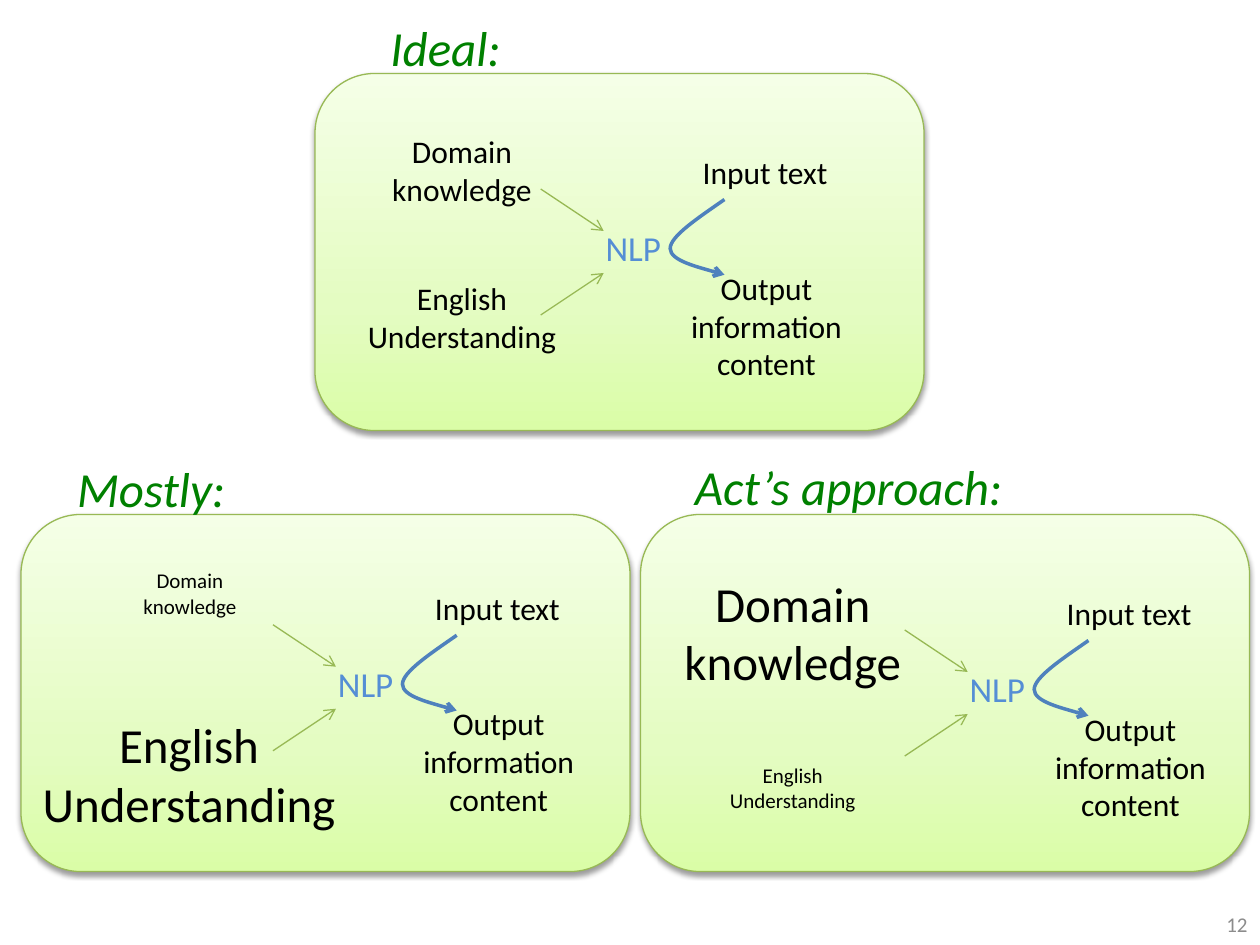
"""Build a slide that compares three balances of knowledge feeding NLP."""
from dataclasses import dataclass

from lxml.etree import SubElement
from pptx import Presentation
from pptx.dml.color import RGBColor as Color
from pptx.enum.shapes import MSO_CONNECTOR as Connector, MSO_SHAPE as Shape
from pptx.enum.text import MSO_ANCHOR as Anchor, MSO_AUTO_SIZE as AutoSize, PP_ALIGN as Align
from pptx.oxml import parse_xml
from pptx.oxml.ns import nsdecls, qn
from pptx.util import Pt


@dataclass(frozen=True)
class Theme:
    font: str = "Calibri"
    black: str = "000000"
    heading: str = "008000"
    accent: str = "558ED5"
    curve: str = "4F81BD"
    edge: str = "98B955"
    number: str = "8C8C8C"
    gradient: tuple = ((0, "DAFDA7"), (35, "E4FCC2"), (100, "F5FFE7"))
    small: int = 12
    body: int = 18
    hub: int = 20
    large: int = 28


theme = Theme()


def write(shapes, text, left, top, width, height, size=theme.body, color=theme.black,
          align=Align.CENTER, wrap=True, italic=False, anchor=Anchor.TOP, fit=True):
    box = shapes.add_textbox(Pt(left), Pt(top), Pt(width), Pt(height))
    frame = box.text_frame
    frame.word_wrap = wrap
    frame.auto_size = AutoSize.SHAPE_TO_FIT_TEXT if fit else AutoSize.NONE
    frame.vertical_anchor = anchor
    para = frame.paragraphs[0]
    para.alignment = align
    span = para.add_run()
    span.text = text
    span.font.name = theme.font
    span.font.size = Pt(size)
    span.font.italic = italic
    span.font.color.rgb = Color.from_string(color)


def draw_arrow(shape, color, width):
    shape.line.color.rgb = Color.from_string(color)
    shape.line.width = Pt(width)
    SubElement(shape.line._get_or_add_ln(), qn("a:tailEnd"), type="arrow")
    SubElement(shape._element.spPr, qn("a:effectLst"))


deck = Presentation()
deck.slide_width, deck.slide_height = Pt(720), Pt(540)
page = deck.slides.add_slide(deck.slide_layouts[6])

stops = "".join(f'<a:gs pos="{position * 1000}"><a:srgbClr val="{color}"/></a:gs>'
                for position, color in theme.gradient)
gradient = (f'<a:gradFill {nsdecls("a")} rotWithShape="1"><a:gsLst>{stops}</a:gsLst>'
            '<a:lin ang="16200000" scaled="0"/></a:gradFill>')
shadow = (f'<a:effectLst {nsdecls("a")}><a:outerShdw blurRad="{Pt(3.1)}" dist="{Pt(1.6)}" '
          f'dir="5400000" rotWithShape="0"><a:srgbClr val="{theme.black}">'
          '<a:alpha val="38000"/></a:srgbClr></a:outerShdw></a:effectLst>')

for left, top in ((366, 294), (12, 294), (180, 42)):
    panel = page.shapes.add_shape(Shape.ROUNDED_RECTANGLE, Pt(left), Pt(top), Pt(348), Pt(204))
    panel.line.color.rgb = Color.from_string(theme.edge)
    panel.line.width = Pt(0.75)
    properties = panel._element.spPr
    properties.find(qn("a:ln")).addprevious(parse_xml(gradient))
    properties.append(parse_xml(shadow))

write(page.shapes, "12", 646, 516, 74, 24, size=theme.small, color=theme.number,
      align=Align.RIGHT, anchor=Anchor.MIDDLE, fit=False)

diagrams = (
    ((339, 126), (210, 72, 108, 51, theme.body), (195, 156, 138, 51, theme.body)),
    ((186, 375), (65, 321, 87, 36, theme.small), (12, 405, 192, 75, theme.large)),
    ((547, 378), (379.5, 324, 147, 75, theme.large), (399, 432, 108, 36, theme.small)),
)
curve_points = ((75, -12), (60, -1.5), (44, 9), (44, 16), (44, 23), (75, 31), (75, 31))

for (x, y), domain, english in diagrams:
    shapes = page.shapes.add_group_shape().shapes
    write(shapes, "NLP", x, y, 48, 31.5, size=theme.hub, color=theme.accent, align=Align.LEFT)
    write(shapes, "Domain knowledge", *domain)
    write(shapes, "English Understanding", *english)
    write(shapes, "Input text", x + 55.5, y - 42, 86.5, 29, align=Align.LEFT, wrap=False)
    write(shapes, "Output information content", x + 30, y + 24, 138, 73)

    for start, end in ((-18, 6), (54, 30)):
        arrow = shapes.add_connector(Connector.STRAIGHT, Pt(x - 30), Pt(y + start),
                                     Pt(x + 6), Pt(y + end))
        draw_arrow(arrow, theme.edge, 0.75)

    points = [(Pt(x + across), Pt(y + down)) for across, down in curve_points]
    builder = shapes.build_freeform(*points[0])
    builder.add_line_segments(points[1:], close=False)
    curve = builder.convert_to_shape()
    curve.fill.background()
    draw_arrow(curve, theme.curve, 2)
    segments = list(curve._element.iter(qn("a:lnTo")))
    for first in range(0, len(segments), 3):
        bezier = SubElement(segments[first].getparent(), qn("a:cubicBezTo"))
        for segment in segments[first:first + 3]:
            bezier.append(segment[0])
            segment.getparent().remove(segment)

for title, left, top, width in (("Ideal:", 216, 6.5, 86), ("Mostly:", 37, 258.5, 107),
                                ("Act’s approach:", 390, 257.5, 199.5)):
    write(page.shapes, title, left, top, width, 41, size=theme.large, color=theme.heading,
          align=Align.LEFT, wrap=False, italic=True)

deck.save("out.pptx")
